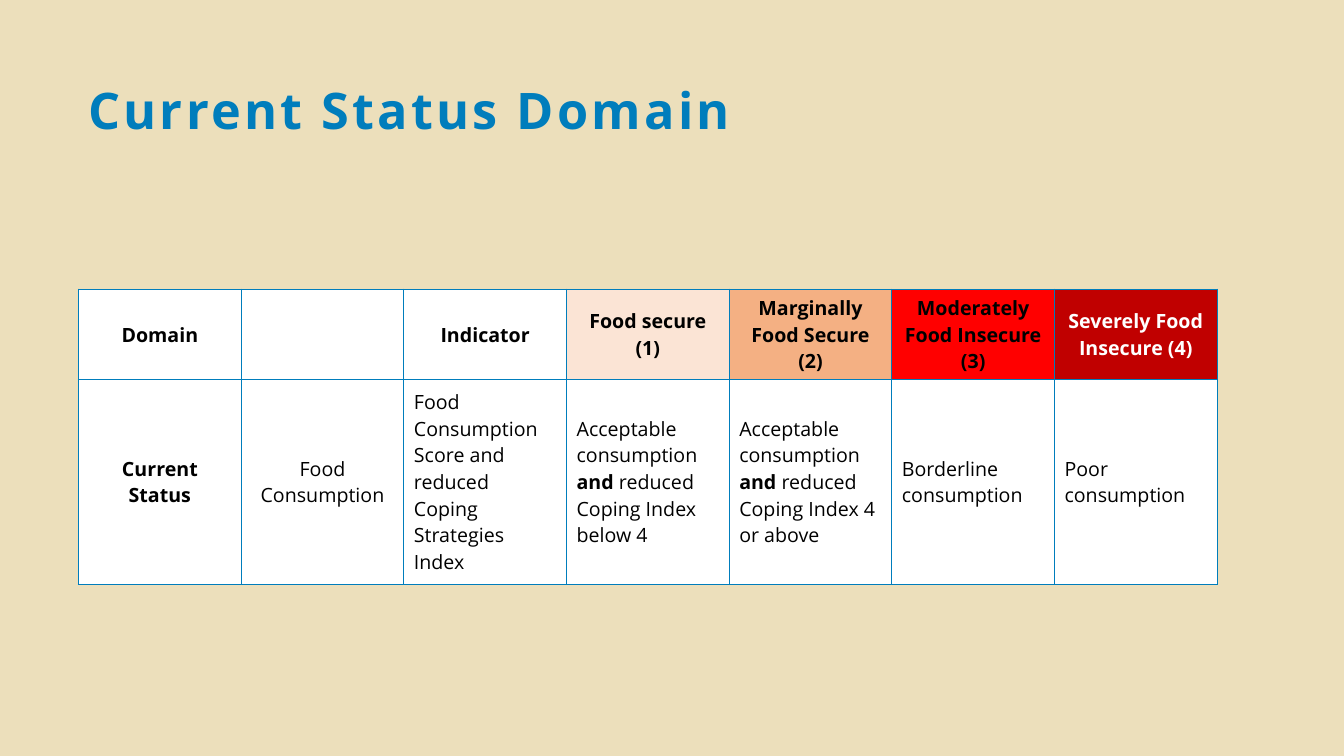
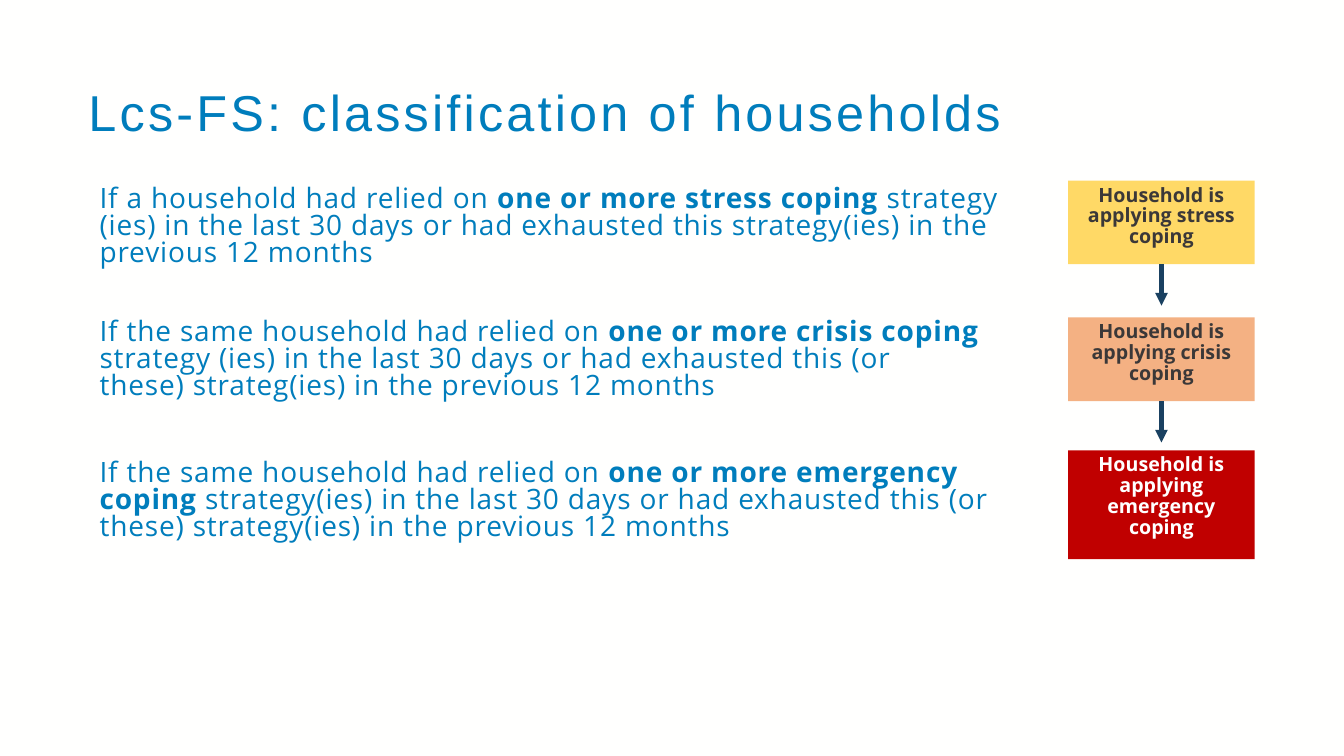
from lxml import etree
from pptx import Presentation
from pptx.dml.color import RGBColor
from pptx.enum.shapes import MSO_CONNECTOR, MSO_SHAPE
from pptx.enum.text import MSO_ANCHOR, PP_ALIGN
from pptx.oxml.ns import qn
from pptx.util import Cm, Pt

CENTER, LEFT = PP_ALIGN.CENTER, PP_ALIGN.LEFT
MIDDLE, TOP = MSO_ANCHOR.MIDDLE, MSO_ANCHOR.TOP
RECTANGLE, STRAIGHT = MSO_SHAPE.RECTANGLE, MSO_CONNECTOR.STRAIGHT

BLUE, NAVY, SAND, IVORY = "007DBC", "1A4161", "ECDFBB", "FFFFFE"
BLACK, WHITE, CHARCOAL, DARK_RED = "000000", "FFFFFF", "3B3838", "C00000"

TITLE = {"size": Pt(36), "name": "Open Sans", "bold": True}
PLAIN_TITLE = {"size": Pt(36), "name": "Arial", "bold": False}
BODY = {"size": Pt(20), "name": "Open Sans", "bold": False}
SMALL = {"size": Pt(14), "name": "Open Sans", "bold": False}
SMALL_BOLD = {**SMALL, "bold": True}

HEADERS = [
    ("Domain", WHITE, BLACK),
    ("", WHITE, BLACK),
    ("Indicator", WHITE, BLACK),
    ("Food secure (1)", "FBE4D5", BLACK),
    ("Marginally Food Secure (2)", "F4B083", BLACK),
    ("Moderately Food Insecure (3)", "FF0000", BLACK),
    ("Severely Food Insecure (4)", DARK_RED, WHITE),
]
STATUS_ROW = [
    ("**Current Status**", CENTER),
    ("Food Consumption", CENTER),
    ("Food Consumption Score and reduced Coping Strategies Index", LEFT),
    ("Acceptable consumption **and **reduced Coping Index below 4", LEFT),
    ("Acceptable consumption **and** reduced Coping Index 4 or above", LEFT),
    ("Borderline consumption", LEFT),
    ("Poor consumption", LEFT),
]
RULES = [
    (4.6, 23.55, "If a household had relied on **one or more stress coping** strategy (ies) "
     "in the last 30 days or had exhausted this strategy(ies) in the previous 12 months"),
    (7.95, 22.68, "If the same household had relied on **one or more crisis coping **strategy (ies) "
     "in the last 30 days or had exhausted this (or these) strateg(ies) in the previous 12 months"),
    (11.5, 23.55, "If the same household had relied on **one or more emergency coping** strategy(ies) "
     "in the last 30 days or had exhausted this (or these) strategy(ies) in the previous 12 months"),
]
STEPS = [
    (4.55, 2.11, "stress", "FFD966", CHARCOAL),
    (8, 2.11, "crisis", "F4B183", CHARCOAL),
    (11.35, 2.74, "emergency", DARK_RED, WHITE),
]
STEP_LEFT, STEP_WIDTH, ARROW_LENGTH = 26.92, 4.7, 1.04


def rgb(value):
    """Turn a hex string into a colour."""
    return RGBColor.from_string(value)


def write(frame, text, style, color, align=LEFT, line_spacing=1.0, tracking=0):
    """Fill the first paragraph, with bold spans marked by double asterisks."""
    para = frame.paragraphs[0]
    para.alignment = align
    para.line_spacing = line_spacing
    for index, piece in enumerate(text.split("**")):
        if not piece:
            continue
        span = para.add_run()
        span.text = piece
        for name, value in style.items():
            setattr(span.font, name, value)
        if index % 2:
            span.font.bold = True
        span.font.color.rgb = rgb(color)
        if tracking:
            span._r.get_or_add_rPr().set("spc", str(tracking))


def add_page(deck, background):
    """Add a blank slide with a plain background."""
    page = deck.slides.add_slide(deck.slide_layouts[6])
    page.background.fill.solid()
    page.background.fill.fore_color.rgb = rgb(background)
    return page


def add_text(page, place, text, style, line_spacing, tracking, anchor=TOP):
    """Add a wrapped blue text box."""
    frame = page.shapes.add_textbox(*map(Cm, place)).text_frame
    frame.word_wrap = True
    frame.vertical_anchor = anchor
    write(frame, text, style, BLUE, LEFT, line_spacing, tracking)


def add_title(page, text, style, line_spacing):
    """Add the slide title at its shared place."""
    add_text(page, (1.98, 1.98, 30.7, 1.83), text, style, line_spacing, 230, MIDDLE)


def add_step(page, top, height, text, fill, color):
    """Add a filled box of the coping sequence."""
    box = page.shapes.add_shape(RECTANGLE, *map(Cm, (STEP_LEFT, top, STEP_WIDTH, height)))
    box.shadow.inherit = False
    box.fill.solid()
    box.fill.fore_color.rgb = rgb(fill)
    box.line.fill.background()
    box.text_frame.word_wrap = True
    box.text_frame.vertical_anchor = TOP
    write(box.text_frame, text, SMALL_BOLD, color, CENTER, 0.88)


def add_arrow(page, top):
    """Add a downward arrow below a step."""
    middle = STEP_LEFT + STEP_WIDTH / 2
    arrow = page.shapes.add_connector(
        STRAIGHT, *map(Cm, (middle, top, middle, top + ARROW_LENGTH)))
    arrow.line.color.rgb = rgb(NAVY)
    arrow.line.width = Pt(3)
    etree.SubElement(arrow.line._get_or_add_ln(), qn("a:tailEnd"), type="triangle")
    etree.SubElement(arrow._element.spPr, qn("a:effectLst"))


def format_cell(cell, text, style, fill, color, align):
    """Border, fill and write one table cell."""
    properties = cell._tc.get_or_add_tcPr()
    for side in ("a:lnL", "a:lnR", "a:lnT", "a:lnB"):
        border = etree.SubElement(properties, qn(side), w=str(Pt(1)))
        solid = etree.SubElement(border, qn("a:solidFill"))
        etree.SubElement(solid, qn("a:srgbClr"), val=BLUE)
    cell.fill.solid()
    cell.fill.fore_color.rgb = rgb(fill)
    cell.vertical_anchor = MIDDLE
    write(cell.text_frame, text, style, color, align)


def add_domain_table(page):
    """Add the table of food security classes."""
    place = map(Cm, (1.98, 7.29, 28.7, 7.43))
    table = page.shapes.add_table(2, len(HEADERS), *place).table
    table.first_row = table.horz_banding = False
    for row, height in zip(table.rows, (2.27, 5.16)):
        row.height = Cm(height)
    for column, (header, (text, align)) in enumerate(zip(HEADERS, STATUS_ROW)):
        table.columns[column].width = Cm(4.1)
        label, fill, color = header
        format_cell(table.cell(0, column), label, SMALL_BOLD, fill, color, CENTER)
        format_cell(table.cell(1, column), text, SMALL, WHITE, BLACK, align)


def build_status(deck):
    """Build the current status slide."""
    page = add_page(deck, SAND)
    add_title(page, "Current Status Domain", TITLE, 0.8)
    add_domain_table(page)


def build_classification(deck):
    """Build the household classification slide."""
    page = add_page(deck, IVORY)
    add_title(page, "Lcs-FS: classification of households", PLAIN_TITLE, 0.9)
    for top, width, text in RULES:
        add_text(page, (2.26, top, width, 2.57), text, BODY, 0.8, 60)
    for top, height, level, fill, color in STEPS:
        add_step(page, top, height, f"Household is applying {level} coping", fill, color)
    for top, height, *_ in STEPS[:-1]:
        add_arrow(page, top + height)


def main():
    """Build and save the deck."""
    deck = Presentation()
    deck.slide_width, deck.slide_height = Cm(33.87), Cm(19.05)
    build_status(deck)
    build_classification(deck)
    deck.save("out.pptx")


if __name__ == "__main__":
    main()
